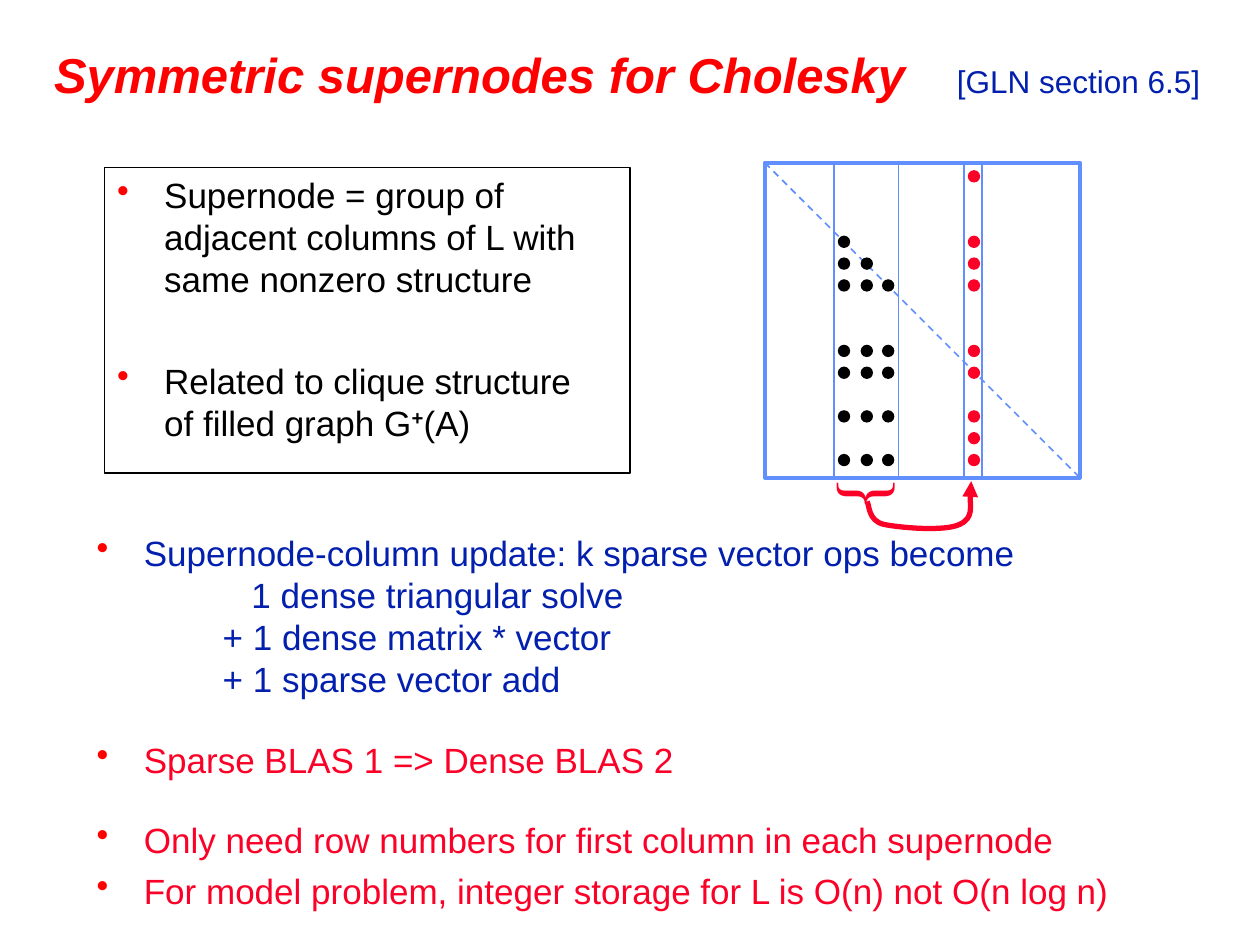
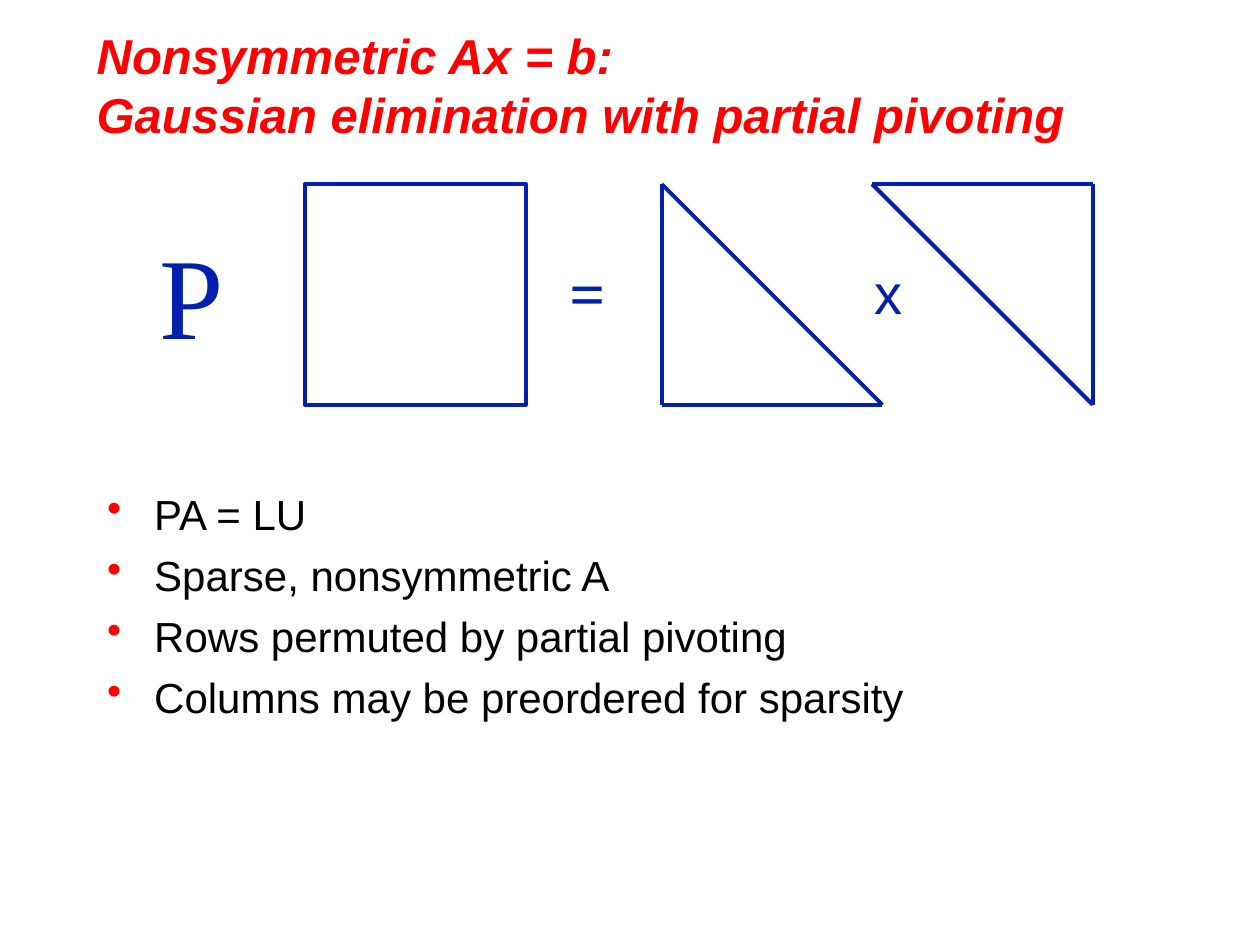
from lxml import etree
from pptx import Presentation
from pptx import util as u
from pptx.dml import color
from pptx.enum import dml, shapes, text
from pptx.oxml import ns

Cm = u.Cm
COLORS = {
    "title": "FF0000",
    "bullet": "FF0000",
    "black": "000000",
    "navy": "021FAE",
    "red": "FC0128",
    "blue": "618FFD",
}
INDENT = 0.95


def rgb(name):
    return color.RGBColor.from_string(COLORS[name])


def add_xml(parent, tag, **attributes):
    return etree.SubElement(parent, ns.qn(tag), attributes)


def write(para, words, size=20, font="Arial", ink="black", bold=False, italic=False, raised=False):
    """Add words to a paragraph; a newline becomes a line break."""
    for number, line in enumerate(words.split("\n")):
        if number:
            para.add_line_break()
        span = para.add_run()
        span.text = line
        span.font.size, span.font.name = u.Pt(size), font
        span.font.bold, span.font.italic = bold, italic
        span.font.color.rgb = rgb(ink)
        if raised:
            span.font._element.set("baseline", "30000")


class SlideMaker:
    """Holds the deck, its style and the current slide."""

    def __init__(self):
        self.deck = Presentation()
        self.deck.slide_width, self.deck.slide_height = Cm(25.4), Cm(19.05)

    def new_slide(self):
        self.page = self.deck.slides.add_slide(self.deck.slide_layouts[6])

    def text_box(self, left, top, width, height, wrap=True):
        box = self.page.shapes.add_textbox(Cm(left), Cm(top), Cm(width), Cm(height))
        box.text_frame.word_wrap = wrap
        return box

    def title(self, words, left, top, width, height):
        box = self.text_box(left, top, width, height)
        box.text_frame.vertical_anchor = text.MSO_ANCHOR.MIDDLE
        para = box.text_frame.paragraphs[0]
        write(para, words, size=28, ink="title", bold=True, italic=True)
        return para

    def label(self, words, left, top, width, height, **style):
        box = self.text_box(left, top, width, height, wrap=False)
        write(box.text_frame.paragraphs[0], words, **style)
        return box

    def paragraph(self, frame, words, before=5, margin=INDENT, bullet=True, **style):
        para = frame.paragraphs[0]
        if para.runs:
            para = frame.add_paragraph()
            para.space_before = u.Pt(before)
        para.alignment = text.PP_ALIGN.LEFT
        properties = para._p.get_or_add_pPr()
        properties.set("marL", str(Cm(margin)))
        if bullet:
            properties.set("indent", str(-Cm(INDENT)))
            add_xml(add_xml(properties, "a:buClr"), "a:srgbClr", val=COLORS["bullet"])
            add_xml(properties, "a:buChar", char="•")
        write(para, words, **style)
        return para

    def shape(self, kind, left, top, width, height, fill=None, line=None, weight=1):
        shape = self.page.shapes.add_shape(kind, Cm(left), Cm(top), Cm(width), Cm(height))
        shape.shadow.inherit = False
        if fill:
            shape.fill.solid()
            shape.fill.fore_color.rgb = rgb(fill)
        else:
            shape.fill.background()
        if line:
            shape.line.color.rgb, shape.line.width = rgb(line), u.Pt(weight)
        else:
            shape.line.fill.background()
        return shape

    def square(self, left, top, side, line):
        return self.shape(shapes.MSO_SHAPE.RECTANGLE, left, top, side, side, line=line, weight=2.25)

    def line(self, start, end, ink, weight=1, dashed=False):
        ends = [Cm(value) for value in (*start, *end)]
        line = self.page.shapes.add_connector(shapes.MSO_CONNECTOR.STRAIGHT, *ends)
        line.line.color.rgb, line.line.width = rgb(ink), u.Pt(weight)
        if dashed:
            line.line.dash_style = dml.MSO_LINE.DASH
        add_xml(line.element.spPr, "a:effectLst")

    def curved_arrow(self, points, ink, weight):
        """Draw Bézier segments: a start, then three points for each segment."""
        start, *rest = [(Cm(x), Cm(y)) for x, y in points]
        builder = self.page.shapes.build_freeform(*start)
        builder.add_line_segments(rest, close=False)
        arrow = builder.convert_to_shape()
        arrow.shadow.inherit = False
        arrow.fill.background()
        arrow.line.color.rgb, arrow.line.width = rgb(ink), u.Pt(weight)
        add_xml(arrow.line._get_or_add_ln(), "a:tailEnd", type="triangle")
        outline = next(arrow.element.iter(ns.qn("a:path")))
        for number, segment in enumerate(outline.findall(ns.qn("a:lnTo"))):
            if number % 3 == 0:
                curve = add_xml(outline, "a:cubicBezTo")
            curve.append(segment[0])
            outline.remove(segment)


def draw_matrix(maker):
    left, top, side = 15.42, 3.28, 6.35
    bottom = top + side
    maker.square(left, top, side, "blue")
    maker.line((left, top), (left + side, bottom), "blue", dashed=True)

    # Nonzeros: a supernode of three columns and the column it updates
    supernode_rows = [3, 4, 5, 8, 9, 11, 13]
    dots = [(x, row, "black") for column, x in enumerate((16.89, 17.35, 17.78))
            for row in supernode_rows if row >= 3 + column]
    dots += [(19.51, row, "red") for row in sorted(supernode_rows + [0, 12])]
    for x, row, ink in dots:
        maker.shape(shapes.MSO_SHAPE.OVAL, x, 3.43 + 0.44 * row, 0.25, 0.25, fill=ink)
    for x in (16.81, 18.11, 19.43, 19.79):
        maker.line((x, top), (x, bottom), "blue")

    # Brace and update arrow
    brace = maker.label("{", 16.71, 8.97, 1.17, 1.96, size=40, font="Times New Roman", ink="red")
    brace.rotation = 270
    maker.curved_arrow([(17.48, 10.11), (17.53, 10.19), (17.5, 10.49), (17.81, 10.57),
                        (18.14, 10.64), (19.05, 10.72), (19.35, 10.57),
                        (19.63, 10.44), (19.53, 9.91), (19.58, 9.7)], "red", 3)


def supernodes_slide(maker):
    maker.new_slide()
    heading = maker.title("Symmetric supernodes for Cholesky", 0.84, 0.64, 23.8, 1.7)
    tabs = add_xml(heading._p.get_or_add_pPr(), "a:tabLst")
    add_xml(tabs, "a:tab", pos=str(Cm(18.2)), algn="l")
    write(heading, "\t[GLN section 6.5]", size=18, ink="navy")

    # Consequences
    frame = maker.text_box(1.7, 10.59, 22.23, 8.05).text_frame
    maker.paragraph(frame, "Supernode-column update: k sparse vector ops become", ink="navy")
    for words, margin in (("1 dense triangular solve", 3.12),
                          ("+ 1 dense matrix * vector", 2.54),
                          ("+ 1 sparse vector add", 2.54)):
        maker.paragraph(frame, words, before=0, margin=margin, bullet=False, ink="navy")
    for words, before in (
            ("Sparse BLAS 1 => Dense BLAS 2", 22),
            ("Only need row numbers for first column in each supernode", 22),
            ("For model problem, integer storage for L is O(n) not O(n log n)", 5)):
        maker.paragraph(frame, words, before=before, ink="red")

    draw_matrix(maker)

    # Definition
    box = maker.shape(shapes.MSO_SHAPE.RECTANGLE, 2.11, 3.38, 10.59, 6.15, line="black")
    frame = box.text_frame
    frame.word_wrap = True
    frame.vertical_anchor = text.MSO_ANCHOR.TOP
    maker.paragraph(frame, "Supernode = group of adjacent columns of L with same nonzero structure")
    para = maker.paragraph(frame, "Related to clique structure\nof filled graph G", before=34)
    write(para, "+", bold=True, raised=True)
    write(para, "(A)")


def pivoting_slide(maker):
    maker.new_slide()
    maker.title("Nonsymmetric Ax = b:\nGaussian elimination with partial pivoting",
                1.7, 0.43, 20.75, 2.54)
    frame = maker.text_box(1.91, 9.73, 22.86, 7.19).text_frame
    for words in ("PA = LU", "Sparse, nonsymmetric A", "Rows permuted by partial pivoting",
                  "Columns may be preordered for sparsity"):
        maker.paragraph(frame, words, before=6, size=24)

    # Factorization: square = lower triangle x upper triangle
    top, side = 3.71, 4.45
    maker.square(6.15, top, side, "navy")
    for left, corner in ((13.34, (0, 1)), (17.58, (1, 0))):
        corners = [(left + side * x, top + side * y) for x, y in ((0, 0), corner, (1, 1))]
        for start, end in zip(corners, corners[1:] + corners[:1]):
            maker.line(start, end, "navy", 2.25)
    maker.label("=", 11.23, 4.98, 1.22, 1.78, size=36, font="Times New Roman", ink="navy", bold=True)
    maker.label("x", 17.37, 5.08, 1.07, 1.63, size=32, ink="navy")
    maker.label("P", 2.97, 4.39, 1.8, 3.05, size=66, font="Times New Roman", ink="navy")


def main():
    maker = SlideMaker()
    supernodes_slide(maker)
    pivoting_slide(maker)
    maker.deck.save("out.pptx")


if __name__ == "__main__":
    main()
